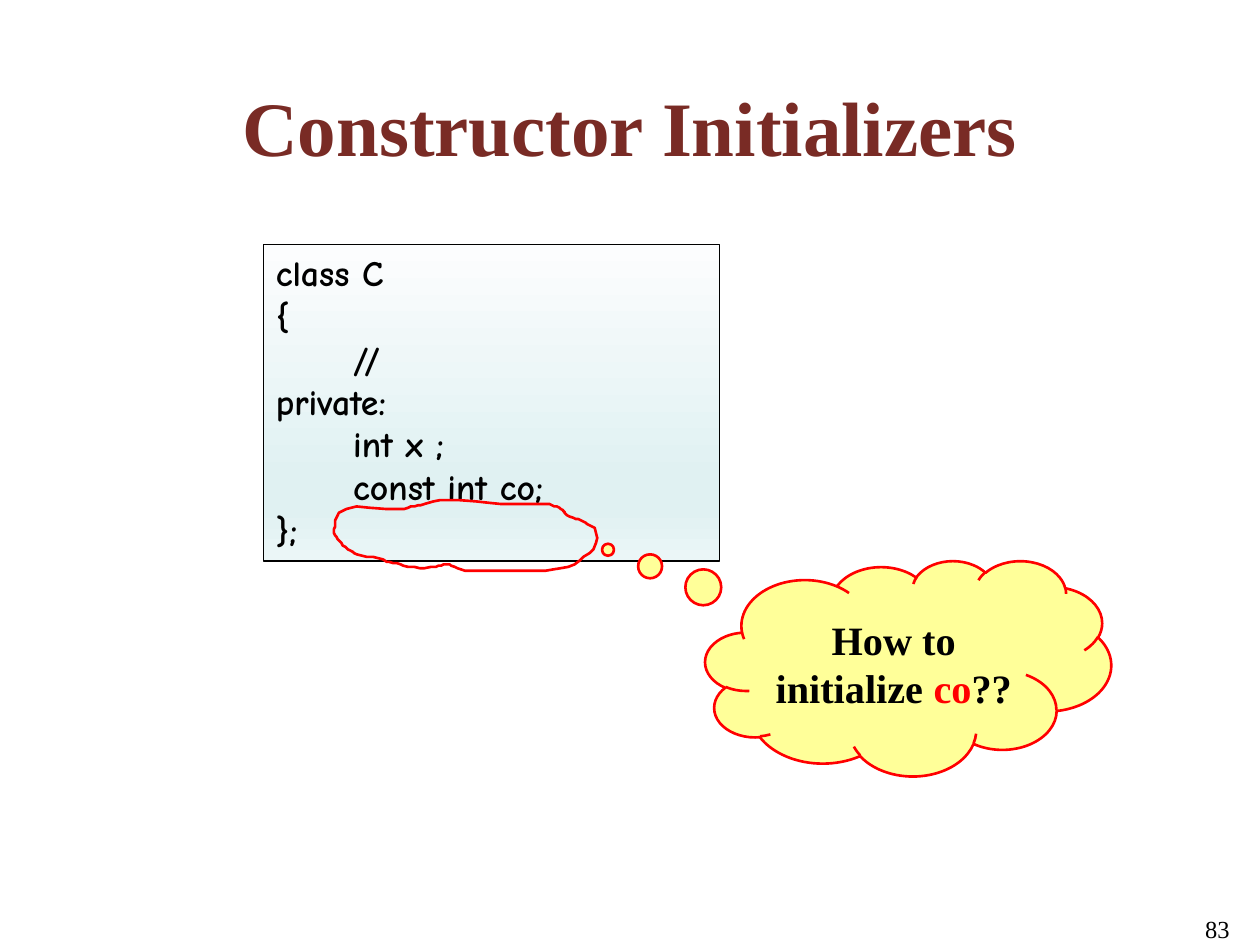
from dataclasses import dataclass
from typing import NamedTuple

from lxml import etree
from pptx import Presentation
from pptx.dml.color import RGBColor
from pptx.enum.shapes import MSO_SHAPE
from pptx.enum.text import MSO_ANCHOR, PP_ALIGN
from pptx.oxml.ns import qn
from pptx.util import Cm, Pt

RECT, CLOUD = MSO_SHAPE.RECTANGLE, MSO_SHAPE.CLOUD_CALLOUT
LEFT, MID, RIGHT = PP_ALIGN.LEFT, PP_ALIGN.CENTER, PP_ALIGN.RIGHT
TOP, CENTER = MSO_ANCHOR.TOP, MSO_ANCHOR.MIDDLE


@dataclass(frozen=True)
class Theme:
    serif: str = "Times New Roman"
    code: str = "Comic Neue"
    ink: str = "000000"
    head: str = "792B25"
    red: str = "FF0000"
    cloud: str = "FFFF99"
    fade: tuple = ((0, "FCFDFE"), (74, "E0F1F2"), (83, "E0F1F2"), (100, "EBF6F7"))
    head_pt: float = 44
    code_pt: float = 20.4
    note_pt: float = 23
    page_pt: float = 14


class Box(NamedTuple):
    """Left, top, width and height in centimetres."""
    x: float
    y: float
    w: float
    h: float

    def emu(self) -> list:
        return [Cm(v) for v in self]


class Style(NamedTuple):
    font: str
    size: float
    bold: bool = True
    align: PP_ALIGN = LEFT
    anchor: MSO_ANCHOR = TOP


class Piece(NamedTuple):
    text: str
    color: str


THEME = Theme()
TAB = 1.56
STEPS = 6
CODE = ("class C", "{", "\t//", "private:", "\tint x ;", "\tconst int co;", "};")
NOTE = (Piece("How to initialize ", THEME.ink), Piece("co", THEME.red),
        Piece("??", THEME.ink))

# Hand-drawn loop in hundredths of an inch: a start, then Bezier triples
START = (346, 450)
CURVES = (
    ((337, 451), (329, 451), (320, 449)), ((316, 447), (307, 446), (307, 446)),
    ((301, 442), (291, 442), (283, 440)), ((280, 438), (276, 436), (272, 433)),
    ((270, 429), (267, 427), (265, 423)), ((265, 420), (266, 416), (266, 413)),
    ((270, 397), (288, 404), (321, 404)), ((327, 402), (331, 401), (337, 400)),
    ((355, 395), (346, 397), (378, 398)), ((396, 401), (418, 400), (436, 400)),
    ((440, 402), (444, 403), (447, 405)), ((448, 406), (448, 407), (449, 408)),
    ((451, 410), (458, 412), (461, 413)), ((465, 416), (468, 416), (472, 419)),
    ((476, 425), (474, 438), (463, 442)), ((459, 449), (445, 452), (433, 453)),
    ((413, 453), (392, 453), (372, 453)), ((367, 453), (359, 449), (357, 448)),
    ((354, 447), (350, 449), (346, 450)),
)


def rgb(color: str) -> RGBColor:
    return RGBColor.from_string(color)


def write(frame, lines, style: Style, tab: float = 0) -> None:
    """Fill a text frame, one paragraph a line, run by run."""
    frame.word_wrap = True
    frame.vertical_anchor = style.anchor
    for i, line in enumerate(lines):
        para = frame.add_paragraph() if i else frame.paragraphs[0]
        para.alignment = style.align
        if tab:
            stops = etree.SubElement(para._p.get_or_add_pPr(), qn("a:tabLst"))
            etree.SubElement(stops, qn("a:tab"), pos=str(Cm(tab)), algn="l")
        for piece in line:
            run = para.add_run()
            run.text = piece.text
            font = run.font
            font.name, font.size, font.bold = style.font, Pt(style.size), style.bold
            font.color.rgb = rgb(piece.color)


def outline(shape, color: str, width: float) -> None:
    shape.shadow.inherit = False
    shape.line.color.rgb = rgb(color)
    shape.line.width = Pt(width)


def fade(shape, stops) -> None:
    """Fill from top to bottom through any number of colour stops."""
    shape.fill.gradient()
    shape.fill.gradient_angle = 270
    bar = shape.element.spPr.find(qn("a:gradFill")).find(qn("a:gsLst"))
    for old in list(bar):
        bar.remove(old)
    for pos, color in stops:
        stop = etree.SubElement(bar, qn("a:gs"), pos=str(pos * 1000))
        etree.SubElement(stop, qn("a:srgbClr"), val=color)


def trace(start, curves) -> list:
    """Sample points along a chain of Bezier curves."""
    points, a = [], start
    for b, c, d in curves:
        for n in range(1, STEPS + 1):
            t = n / STEPS
            u = 1 - t
            points.append(tuple(
                u**3 * p + 3 * u * u * t * q + 3 * u * t * t * r + t**3 * s
                for p, q, r, s in zip(a, b, c, d)))
        a = d
    return points


def main() -> None:
    deck = Presentation()
    deck.slide_width, deck.slide_height = Cm(25.4), Cm(19.05)
    slide = deck.slides.add_slide(deck.slide_layouts[5])
    shapes = slide.shapes

    # Title
    title = shapes.title
    title.left, title.top, title.width, title.height = Box(0.84, 1.57, 23.72, 1.93).emu()
    write(title.text_frame, [[Piece("Constructor Initializers", THEME.head)]],
          Style(THEME.serif, THEME.head_pt, align=MID, anchor=CENTER))

    # Page number
    page = shapes.add_textbox(*Box(18.69, 18.31, 6.35, 1.32).emu())
    write(page.text_frame, [[Piece("83", THEME.ink)]],
          Style(THEME.serif, THEME.page_pt, bold=False, align=RIGHT))

    # Code panel
    panel = shapes.add_shape(RECT, *Box(5.31, 4.93, 9.19, 6.38).emu())
    fade(panel, THEME.fade)
    outline(panel, THEME.ink, 0.75)
    write(panel.text_frame, [[Piece(line, THEME.ink)] for line in CODE],
          Style(THEME.code, THEME.code_pt), TAB)

    # Thought cloud and the loop it points to
    group = shapes.add_group_shape().shapes
    cloud = group.add_shape(CLOUD, *Box(14.22, 11.3, 8.18, 4.34).emu())
    cloud.adjustments[0], cloud.adjustments[1] = -0.74, -0.55
    cloud.fill.solid()
    cloud.fill.fore_color.rgb = rgb(THEME.cloud)
    outline(cloud, THEME.red, 1.5)
    write(cloud.text_frame, [NOTE],
          Style(THEME.serif, THEME.note_pt, align=MID, anchor=CENTER))

    pen = group.build_freeform(*START, scale=Cm(2.54) / 100)
    pen.add_line_segments(trace(START, CURVES), close=True)
    loop = pen.convert_to_shape()
    loop.fill.background()
    outline(loop, THEME.red, 1.5)

    deck.save("out.pptx")


if __name__ == "__main__":
    main()
